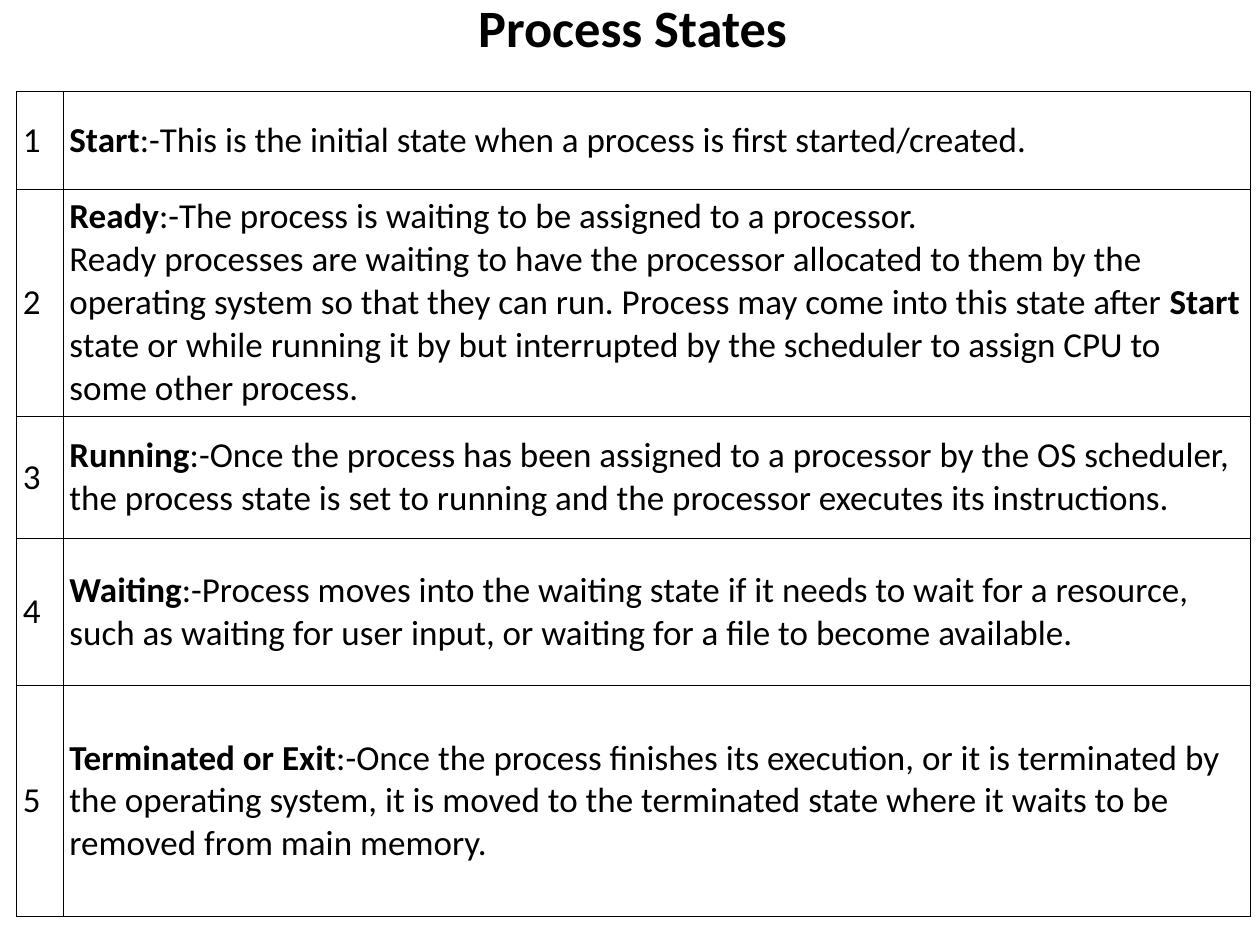
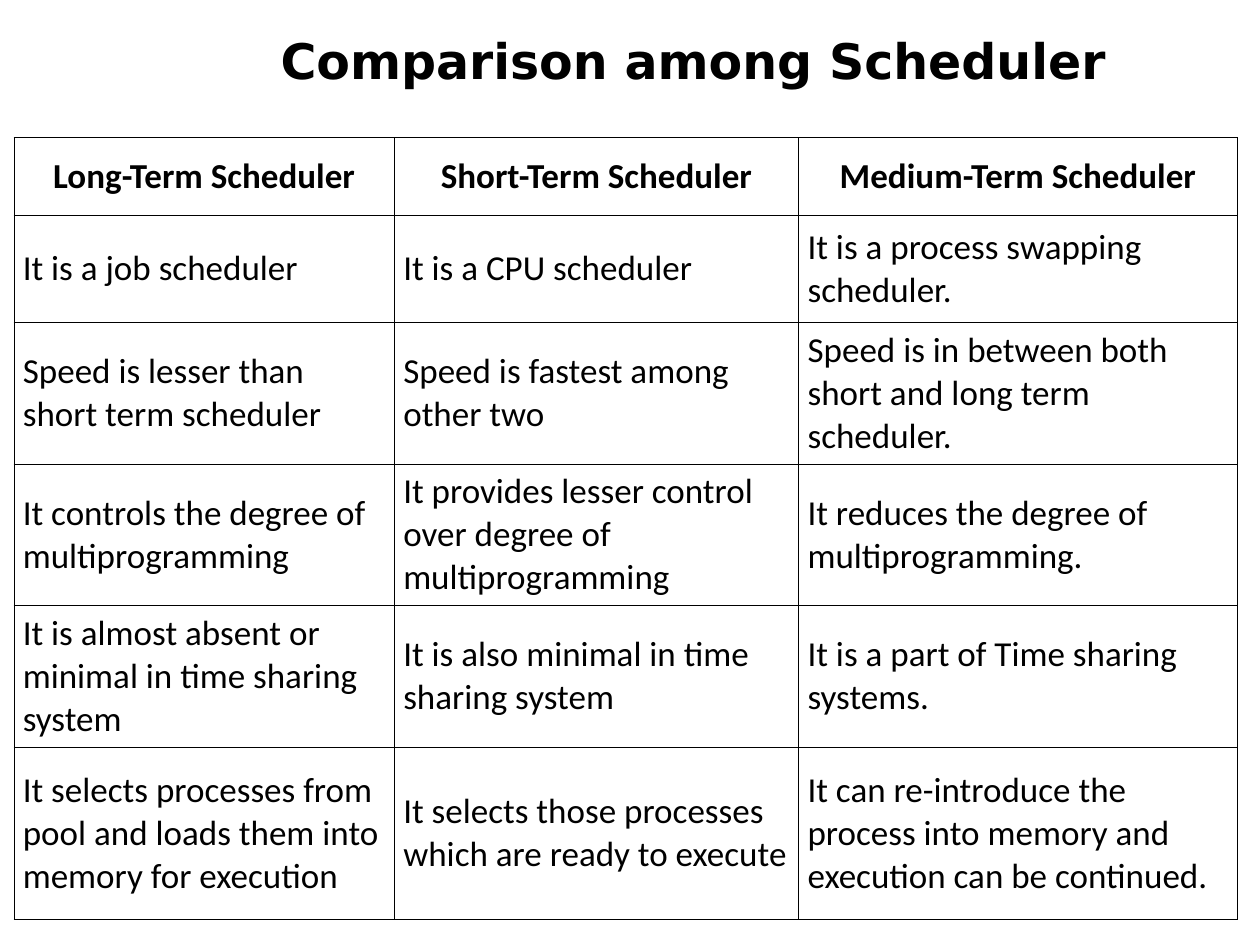
from lxml import etree
from pptx import Presentation
from pptx.dml.color import RGBColor as RGB
from pptx.enum.text import MSO_ANCHOR as Anchor, MSO_AUTO_SIZE as AutoSize, PP_ALIGN as Align
from pptx.oxml.ns import qn
from pptx.util import Cm, Pt

COLOURS = {"text": "000000", "border": "000000", "cell": "FFFFFF"}
BODY_FONT = "Calibri"
BODY_SIZE = 20
BORDER_WIDTH = Pt(0.45)
TITLE_ONLY = 5

PROCESS_STATES = [
    ["1", "**Start**:-This is the initial state when a process is first started/created."],
    ["2", "**Ready**:-The process is waiting to be assigned to a processor.\n"
          "Ready processes are waiting to have the processor allocated to them by the operating "
          "system so that they can run. Process may come into this state after **Start** state or "
          "while running it by but interrupted by the scheduler to assign CPU to some other process."],
    ["3", "**Running**:-Once the process has been assigned to a processor by the OS scheduler, "
          "the process state is set to running and the processor executes its instructions."],
    ["4", "**Waiting**:-Process moves into the waiting state if it needs to wait for a resource, "
          "such as waiting for user input, or waiting for a file to become available."],
    ["5", "**Terminated or Exit**:-Once the process finishes its execution, or it is terminated "
          "by the operating system, it is moved to the terminated state where it waits to be "
          "removed from main memory."],
]

SCHEDULERS = [
    ["**Long-Term Scheduler**", "**Short-Term Scheduler**", "**Medium-Term Scheduler**"],
    ["It is a job scheduler", "It is a CPU scheduler", "It is a process swapping scheduler."],
    ["Speed is lesser than short term scheduler", "Speed is fastest among other two",
     "Speed is in between both short and long term scheduler."],
    ["It controls the degree of multiprogramming",
     "It provides lesser control over degree of multiprogramming",
     "It reduces the degree of multiprogramming."],
    ["It is almost absent or minimal in time sharing system",
     "It is also minimal in time sharing system", "It is a part of Time sharing systems."],
    ["It selects processes from pool and loads them into memory for execution",
     "It selects those processes which are ready to execute",
     "It can re-introduce the process into memory and execution can be continued."],
]


def set_font(paragraph, name, size):
    font = paragraph.font
    font.name, font.size = name, Pt(size)
    font.color.rgb = RGB.from_string(COLOURS["text"])
    return font


def add_titled_slide(deck, heading, box, font_name, size, bottom_margin=0.13):
    slide = deck.slides.add_slide(deck.slide_layouts[TITLE_ONLY])
    title = slide.shapes.title
    title.left, title.top, title.width, title.height = map(Cm, box)
    frame = title.text_frame
    frame.text = heading
    frame.word_wrap = True
    frame.auto_size = AutoSize.NONE
    frame.vertical_anchor = Anchor.MIDDLE
    frame.margin_bottom = Cm(bottom_margin)
    paragraph = frame.paragraphs[0]
    paragraph.alignment = Align.CENTER
    paragraph.line_spacing = 0.9
    set_font(paragraph, font_name, size).bold = True
    return slide


def write_marked_text(frame, text, alignment):
    for index, line in enumerate(text.split("\n")):
        paragraph = frame.add_paragraph() if index else frame.paragraphs[0]
        paragraph.alignment = alignment
        for part, words in enumerate(line.split("**")):
            if words:
                run = paragraph.add_run()
                run.text = words
                run.font.bold = part % 2 == 1
        set_font(paragraph, BODY_FONT, BODY_SIZE)


def draw_borders(cell):
    properties = cell._tc.get_or_add_tcPr()
    for position, side in enumerate(("lnL", "lnR", "lnT", "lnB")):
        line = etree.Element(qn(f"a:{side}"), w=str(BORDER_WIDTH))
        fill = etree.SubElement(line, qn("a:solidFill"))
        etree.SubElement(fill, qn("a:srgbClr"), val=COLOURS["border"])
        properties.insert(position, line)


def add_grid(slide, content, left, top, widths, heights, side_margin, has_header=False):
    table = slide.shapes.add_table(len(heights), len(widths), Cm(left), Cm(top),
                                   Cm(sum(widths)), Cm(sum(heights))).table
    table.first_row = has_header
    table.horz_banding = False
    for column, width in zip(table.columns, widths):
        column.width = Cm(width)
    for row_index, (row, height, texts) in enumerate(zip(table.rows, heights, content)):
        row.height = Cm(height)
        is_header = has_header and row_index == 0
        for cell, text in zip(row.cells, texts):
            cell.vertical_anchor = Anchor.MIDDLE
            cell.margin_left = cell.margin_right = Cm(side_margin)
            cell.margin_top = cell.margin_bottom = Cm(0.13)
            cell.fill.solid()
            cell.fill.fore_color.rgb = RGB.from_string(COLOURS["cell"])
            draw_borders(cell)
            write_marked_text(cell.text_frame, text, Align.CENTER if is_header else Align.LEFT)


def main():
    deck = Presentation()
    deck.slide_width, deck.slide_height = Cm(25.4), Cm(19.05)

    states = add_titled_slide(deck, "Process States", (2.95, 0, 19.61, 1.24), BODY_FONT, 30)
    add_grid(states, PROCESS_STATES, 0.33, 1.85, [0.94, 23.93],
             [1.96, 4.37, 2.46, 2.97, 4.65], side_margin=0.13)

    comparison = add_titled_slide(deck, "Comparison among Scheduler", (2.54, 0.53, 22.86, 2.57),
                                  "DejaVu Sans", 28, bottom_margin=1.2)
    add_grid(comparison, SCHEDULERS, 0.28, 2.77, [7.67, 8.15, 8.84],
             [1.57, 2.16, 2.84, 2.84, 2.82, 3.48], side_margin=0.18, has_header=True)

    deck.save("out.pptx")


if __name__ == "__main__":
    main()
